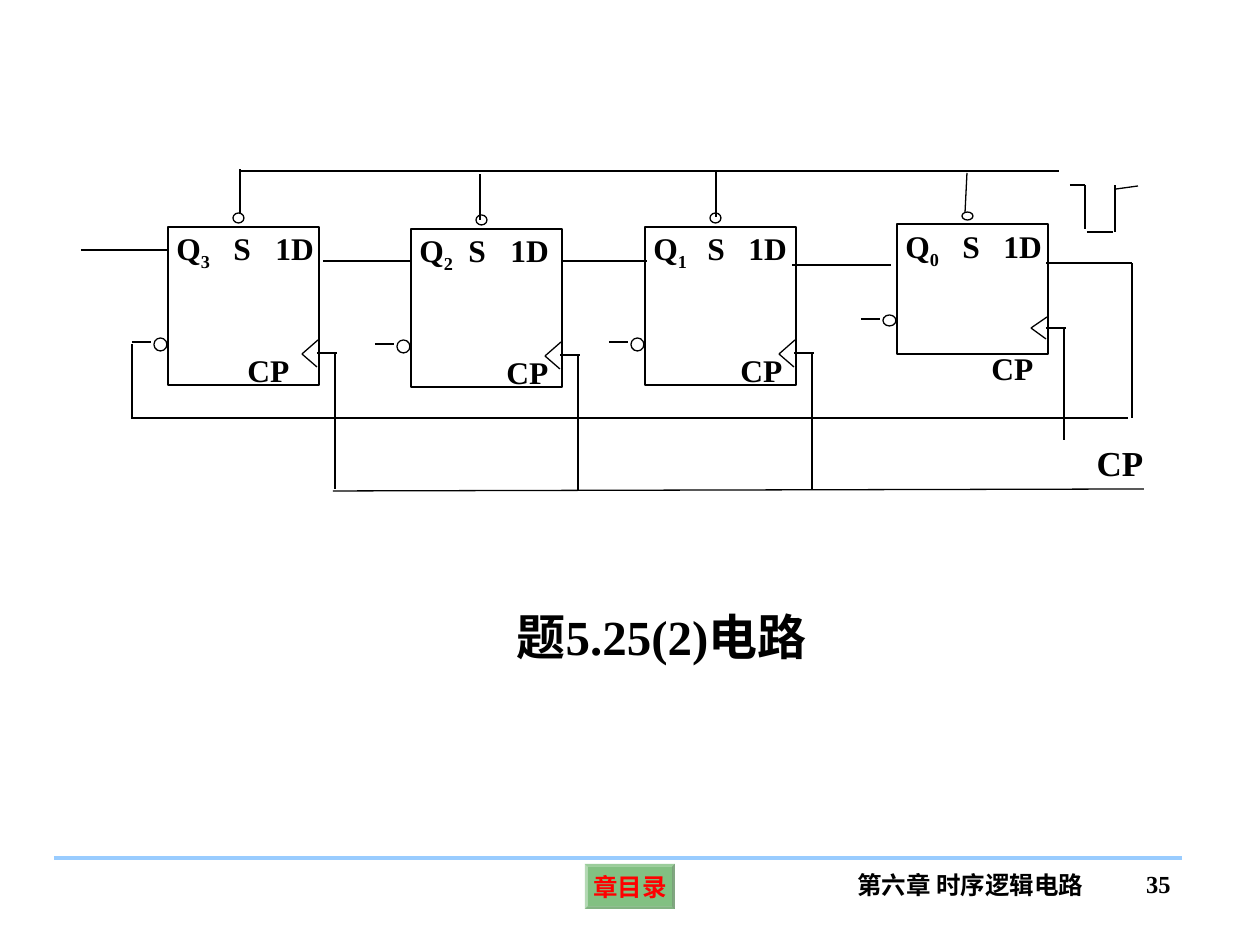
import pptx
import pptx.util
import pptx.dml.color
import pptx.enum.shapes
import pptx.enum.text
import pptx.oxml.ns
from lxml import etree

EMU_PER_PX = 914400 / 126
SHAPE = pptx.enum.shapes.MSO_SHAPE
ALIGN = pptx.enum.text.PP_ALIGN
ANCHOR = pptx.enum.text.MSO_ANCHOR
BLACK, WHITE, RED, GREEN, SKY = "000000", "FFFFFF", "FF0000", "008000", "99CCFF"
THIN, THICK = 0.75, 1.25
FULL_HEIGHT = 158


def px(length):
    return pptx.util.Emu(round(length * EMU_PER_PX))


def rgb(hex_string):
    return pptx.dml.color.RGBColor.from_string(hex_string)


def add_xml(parent, tag, **attributes):
    return etree.SubElement(parent, pptx.oxml.ns.qn(tag), attributes)


class CircuitSlide:
    """Holds the text style and the slide being drawn; lengths are px."""

    font_style = {"name": "Times New Roman", "bold": True}

    def __init__(self, presentation):
        self.slide = presentation.slides.add_slide(presentation.slide_layouts[6])

    def wire(self, *points, color=BLACK, width=THIN):
        """Straight connectors through the points, one after another."""
        for start, end in zip(points, points[1:]):
            segment = self.slide.shapes.add_connector(
                pptx.enum.shapes.MSO_CONNECTOR.STRAIGHT,
                *map(px, start + end))
            segment.line.color.rgb = rgb(color)
            segment.line.width = pptx.util.Pt(width)
            add_xml(segment._element.spPr, "a:effectLst")

    def outline(self, kind, box, width=THIN):
        """White preset shape with a black line."""
        part = self.slide.shapes.add_shape(kind, *map(px, box))
        part.shadow.inherit = False
        part.fill.solid()
        part.fill.fore_color.rgb = rgb(WHITE)
        part.line.color.rgb = rgb(BLACK)
        part.line.width = pptx.util.Pt(width)

    def add_words(self, paragraph, text, size, color=BLACK, baseline=0):
        run = paragraph.add_run()
        run.text = text
        for key, value in self.font_style.items():
            setattr(run.font, key, value)
        run.font.size = pptx.util.Pt(size)
        run.font.color.rgb = rgb(color)
        if baseline:
            run._r.get_or_add_rPr().set("baseline", str(baseline * 1000))

    def text_frame(self, box):
        frame = self.slide.shapes.add_textbox(*map(px, box)).text_frame
        frame.word_wrap = True
        return frame

    def label(self, text, box, size, align=ALIGN.CENTER):
        paragraph = self.text_frame(box).paragraphs[0]
        paragraph.alignment = align
        self.add_words(paragraph, text, size)

    def button(self, text, box):
        """Half-transparent bevelled button."""
        bevel = self.slide.shapes.add_shape(SHAPE.BEVEL, *map(px, box))
        bevel.adjustments[0] = 0.06
        bevel.shadow.inherit = False
        bevel.fill.solid()
        bevel.fill.fore_color.rgb = rgb(GREEN)
        color = bevel._element.spPr.find(".//" + pptx.oxml.ns.qn("a:srgbClr"))
        add_xml(color, "a:alpha", val="49000")
        bevel.line.fill.background()
        frame = bevel.text_frame
        margins = dict.fromkeys(
            ("margin_left", "margin_top", "margin_right", "margin_bottom"), px(5))
        settings = {**margins, "word_wrap": False, "vertical_anchor": ANCHOR.MIDDLE}
        for key, value in settings.items():
            setattr(frame, key, value)
        frame.paragraphs[0].alignment = ALIGN.CENTER
        self.add_words(frame.paragraphs[0], text, 14, RED)

    def flip_flop(self, index, left, top, height, tabs, clock_indent):
        """D flip-flop with set bubble, inverted output and clock drop."""
        def at(x, y):
            return left + x, top + round(y * height / FULL_HEIGHT)

        def box(x, y, width, full):
            return *at(x, y), width, round(full * height / FULL_HEIGHT)

        self.outline(SHAPE.RECTANGLE, box(0, 0, 151, FULL_HEIGHT), THICK)
        frame = self.text_frame(box(-4, -4, 173, 142))
        pins = frame.paragraphs[0]
        tab_list = add_xml(pins._p.get_or_add_pPr(), "a:tabLst")
        for tab in tabs:
            add_xml(tab_list, "a:tab", pos=str(px(tab)), algn="l")
        self.add_words(pins, "Q", 18)
        self.add_words(pins, index, 18, baseline=-25)
        self.add_words(pins, "\tS\t1D", 18)
        clock = frame.add_paragraph()
        clock._p.get_or_add_pPr().set("marL", str(px(clock_indent)))
        clock.space_before = pptx.util.Pt(45)
        self.add_words(clock, "CP", 18)

        self.outline(SHAPE.OVAL, box(65, -14, 11, 10))
        self.outline(SHAPE.OVAL, box(-14, 111, 13, 13))
        self.wire(at(-36, 115), at(-17, 115), width=THICK)
        self.wire(at(150, 113), at(134, 127), at(149, 140))
        self.wire(at(149, 126), at(169, 126))
        self.wire(at(167, 126), at(167, 262))


def main():
    presentation = pptx.Presentation()
    presentation.slide_width, presentation.slide_height = px(1260), px(945)
    page = CircuitSlide(presentation)

    page.button("章目录", (585, 864, 90, 45))
    page.wire((54, 858), (1182, 858), color=SKY, width=2.25)
    page.label("第六章 时序逻辑电路", (839, 864, 263, 63), 14)
    page.label("35", (1075, 863, 108, 63), 14, ALIGN.RIGHT)

    flip_flops = (
        ("2", 411, 229, FULL_HEIGHT, (49, 91), 87),
        ("3", 168, 227, FULL_HEIGHT, (57, 99), 71),
        ("1", 645, 227, FULL_HEIGHT, (54, 95), 87),
        ("0", 897, 224, 130, (57, 98), 86),
    )
    for flip_flop in flip_flops:
        page.flip_flop(*flip_flop)

    data_chain = (
        ((81, 250), (167, 250)),
        ((323, 261), (411, 261)),
        ((563, 261), (647, 261)),
        ((792, 265), (891, 265)),
    )
    set_bus = (
        ((240, 214), (240, 169)),
        ((480, 220), (480, 174)),
        ((716, 217), (716, 171)),
        ((965, 213), (967, 173)),
        ((240, 171), (1059, 171)),
    )
    feedback = (
        ((132, 344), (132, 419)),
        ((131, 418), (1128, 418)),
        ((1132, 418), (1132, 263), (1046, 263)),
    )
    clock_bus = (((333, 491), (1144, 489)),)
    set_pulse = (
        ((1070, 185), (1085, 185), (1085, 229)),
        ((1087, 232), (1113, 232)),
        ((1115, 232), (1115, 185)),
        ((1116, 189), (1138, 186)),
    )
    for net in (data_chain, set_bus, feedback, clock_bus, set_pulse):
        for points in net:
            page.wire(*points)

    page.label("CP", (1070, 435, 100, 55), 20)
    page.label("题5.25(2)电路", (301, 600, 721, 72), 28)
    presentation.save("out.pptx")


if __name__ == "__main__":
    main()
